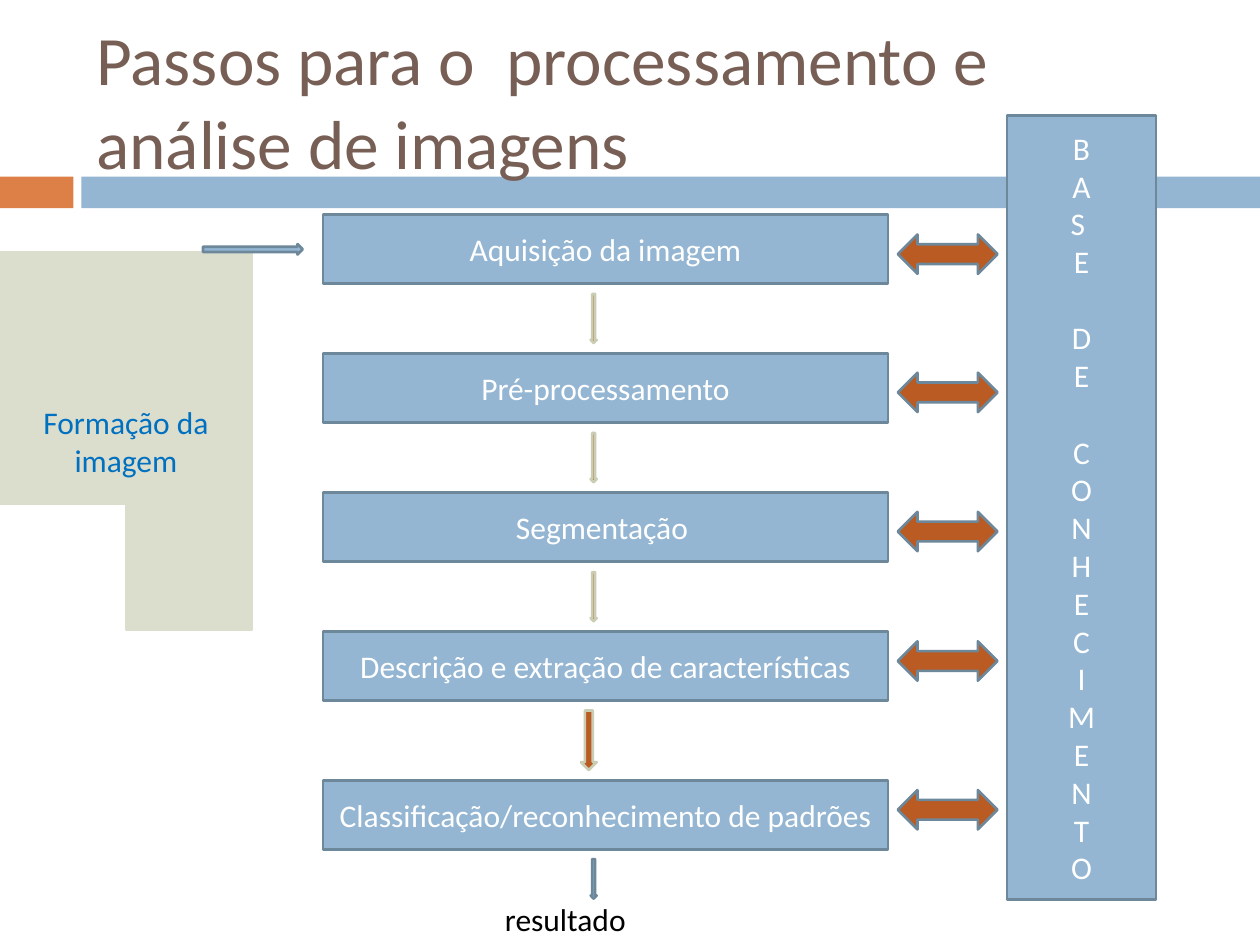
import dataclasses

import pptx
import pptx.dml.color
import pptx.enum.shapes
import pptx.enum.text
import pptx.util

Pt = pptx.util.Pt
SHAPE = pptx.enum.shapes.MSO_SHAPE
ALIGN = pptx.enum.text.PP_ALIGN
ANCHOR = pptx.enum.text.MSO_ANCHOR


@dataclasses.dataclass(frozen=True)
class Theme:
    font: str = "Calibri"
    title_size: float = 39.6
    body_size: float = 18
    outline: float = 1.5
    title: str = "775F55"
    blue: str = "94B6D2"
    blue_edge: str = "6D879B"
    orange: str = "DD8047"
    rust: str = "B95B22"
    sage: str = "DBDDCD"
    sage_edge: str = "C9CDB3"
    formation: str = "0070C0"
    white: str = "FFFFFF"
    black: str = "000000"


theme = Theme()
rgb = pptx.dml.color.RGBColor.from_string


def paint(shape, fill, edge=None):
    shape.shadow.inherit = False
    shape.fill.solid()
    shape.fill.fore_color.rgb = rgb(fill)
    if edge:
        shape.line.color.rgb = rgb(edge)
        shape.line.width = Pt(theme.outline)
    else:
        shape.line.fill.background()


def write(shape, lines, color, size=theme.body_size, align=ALIGN.CENTER, anchor=ANCHOR.MIDDLE):
    frame = shape.text_frame
    frame.word_wrap = True
    frame.vertical_anchor = anchor
    for index, line in enumerate(lines):
        paragraph = frame.add_paragraph() if index else frame.paragraphs[0]
        paragraph.alignment = align
        run = paragraph.add_run()
        run.text = line
        run.font.name = theme.font
        run.font.size = Pt(size)
        run.font.color.rgb = rgb(color)


deck = pptx.Presentation()
deck.slide_width, deck.slide_height = Pt(720), Pt(540)
shapes = deck.slides.add_slide(deck.slide_layouts[6]).shapes

for left, width, color in [(0, 42, theme.orange), (46.5, 673.5, theme.blue)]:
    band = shapes.add_shape(SHAPE.RECTANGLE, Pt(left), Pt(101), Pt(width), Pt(18))
    paint(band, color)

title = shapes.add_textbox(Pt(48), Pt(18), Pt(642), Pt(78))
write(title, ["Passos para o  processamento e análise de imagens"],
      theme.title, theme.title_size, ALIGN.LEFT)

steps = [
    ("Aquisição da imagem", 122.5, 134),
    ("Pré-processamento", 202, 213),
    ("Segmentação ", 281.5, 292.5),
    ("Descrição e extração de características", 361, 366.5),
    ("Classificação/reconhecimento de padrões", 446, 451.5),
]
for name, step_top, exchange_top in steps:
    step = shapes.add_shape(SHAPE.RECTANGLE, Pt(184.5), Pt(step_top), Pt(323), Pt(39.5))
    paint(step, theme.blue, theme.blue_edge)
    write(step, [name], theme.white)
    exchange = shapes.add_shape(SHAPE.LEFT_RIGHT_ARROW, Pt(513), Pt(exchange_top), Pt(57), Pt(22.5))
    paint(exchange, theme.rust, theme.blue_edge)

start = (0.46, 2.31)
curves = [
    ((0.66, 2.13), (0.99, 1.73), (1.24, 1.71)),
    ((1.49, 1.70), (1.81, 1.96), (1.96, 2.24)),
    ((2.10, 2.52), (2.18, 2.98), (2.12, 3.38)),
    ((2.06, 3.78), (1.90, 4.54), (1.60, 4.62)),
    ((1.30, 4.70), (0.58, 4.16), (0.31, 3.86)),
    ((0.05, 3.56), (0.00, 3.06), (0.03, 2.81)),
    ((0.06, 2.56), (0.25, 2.49), (0.46, 2.31)),
]
outline = []
corner = start
for first, second, end in curves:
    for tick in range(1, 17):
        t = tick / 16
        outline.append(tuple(
            (1 - t) ** 3 * a + 3 * (1 - t) ** 2 * t * b + 3 * (1 - t) * t ** 2 * c + t ** 3 * d
            for a, b, c, d in zip(corner, first, second, end)))
    corner = end
builder = shapes.build_freeform(*start, scale=Pt(72))
builder.add_line_segments(outline, close=True)
formation = builder.convert_to_shape()
paint(formation, theme.sage, theme.sage)
write(formation, ["Formação da imagem"], theme.formation)

flows = [
    (SHAPE.RIGHT_ARROW, 116, 139.5, 57, 6, theme.blue, theme.blue_edge),
    (SHAPE.DOWN_ARROW, 337.5, 168, 3.5, 28, theme.rust, theme.sage_edge),
    (SHAPE.DOWN_ARROW, 337.5, 247.5, 3.5, 28, theme.rust, theme.sage_edge),
    (SHAPE.DOWN_ARROW, 337.5, 327, 3.5, 28, theme.rust, theme.sage_edge),
    (SHAPE.DOWN_ARROW, 332, 406, 9, 34, theme.rust, theme.sage_edge),
    (SHAPE.DOWN_ARROW, 337.5, 491, 3.5, 22.5, theme.blue, theme.blue_edge),
]
for direction, left, top, width, height, color, edge in flows:
    flow = shapes.add_shape(direction, Pt(left), Pt(top), Pt(width), Pt(height))
    paint(flow, color, edge)

result = shapes.add_textbox(Pt(281.5), Pt(511), Pt(113), Pt(29))
write(result, ["resultado"], theme.black, align=ALIGN.LEFT, anchor=ANCHOR.TOP)

knowledge = shapes.add_shape(SHAPE.RECTANGLE, Pt(575.5), Pt(66), Pt(85), Pt(448))
paint(knowledge, theme.blue, theme.blue_edge)
words = [["B", "A", "S ", "E"], list("DE"), list("CONHECIMENTO")]
write(knowledge, sum(words, []), theme.white)
for word_start in (len(words[0]), len(words[0]) + len(words[1])):
    knowledge.text_frame.paragraphs[word_start].space_before = Pt(22)

deck.save("out.pptx")
